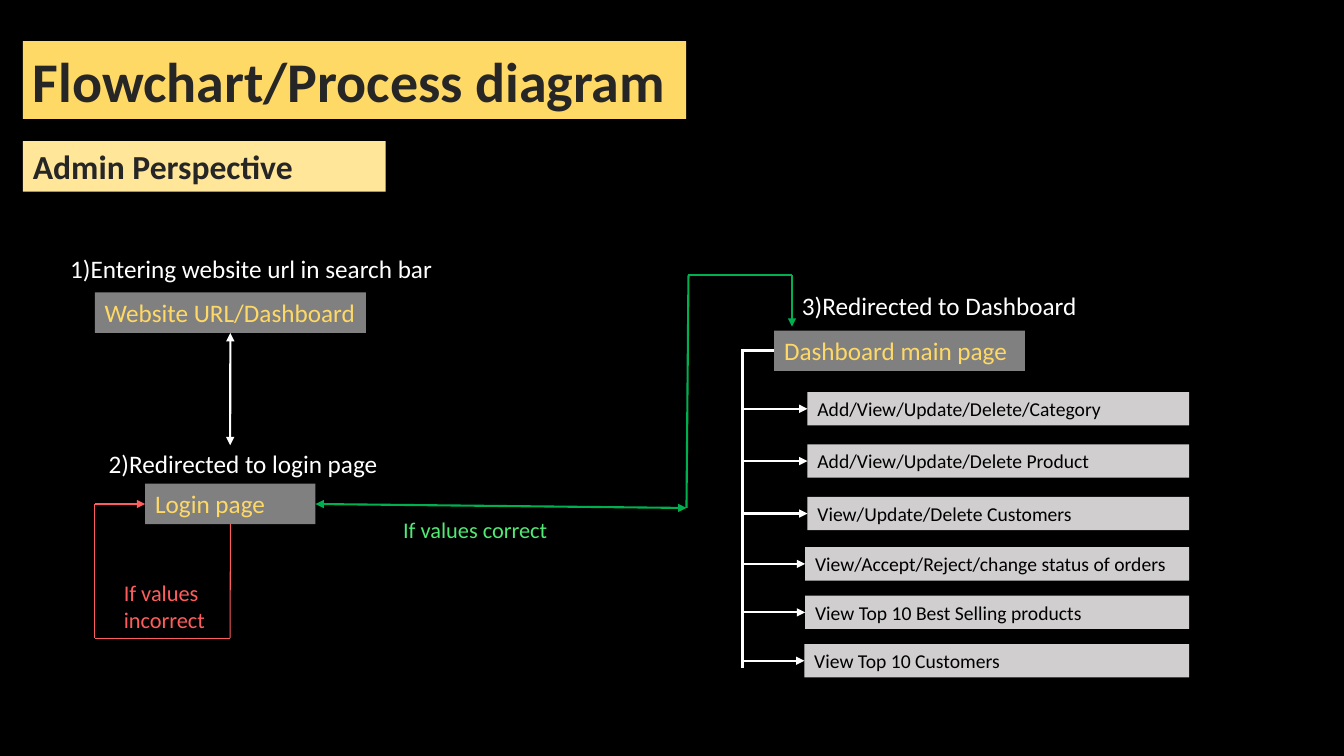
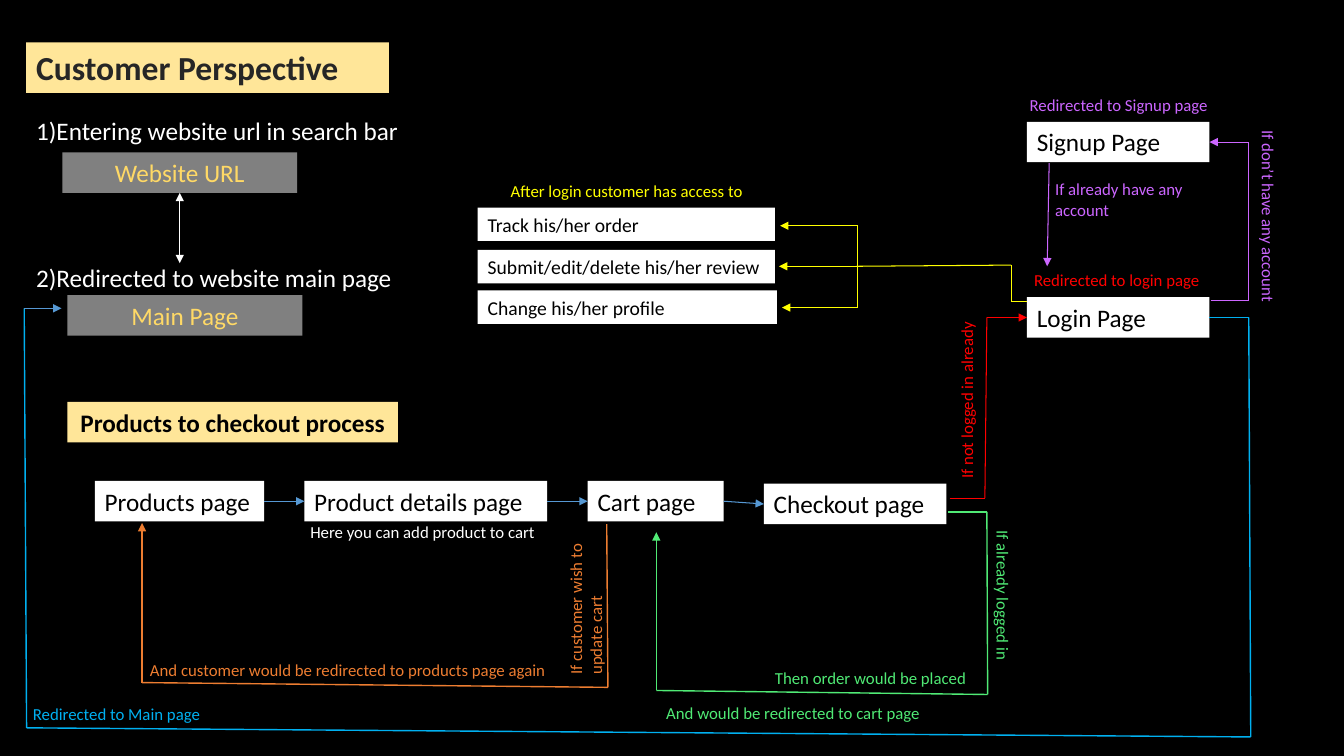
from dataclasses import dataclass
from typing import Optional

import lxml.etree
import pptx
import pptx.dml.color
import pptx.enum.shapes
import pptx.enum.text
import pptx.oxml.ns
import pptx.util

Cm = pptx.util.Cm
LEFT_ALIGN = pptx.enum.text.PP_ALIGN.LEFT
CENTER = pptx.enum.text.PP_ALIGN.CENTER

FONT = "Calibri"
BLACK, WHITE, CHARCOAL = "000000", "FFFFFF", "262626"
GOLD, CREAM, GREY, SILVER = "FFD966", "FFE699", "808080", "D0CECE"
CORAL, RED, EMERALD, MINT = "FF5D5D", "FF0000", "00B050", "50EA75"
STEEL, SKY, YELLOW, PURPLE, ORANGE = "5698D3", "00B0F0", "FFFF00", "CC66FF", "ED7D31"

BOTTOM, LEFT, RIGHT = 2, 1, 3
STEP_HEIGHT, ITEM_HEIGHT, NOTE_HEIGHT = 1.02, 0.84, 0.76

Point = tuple[float, float]
Joint = tuple[str, int]


@dataclass(frozen=True)
class Style:
    size: int
    color: str
    fill: Optional[str] = None
    bold: bool = False
    align: pptx.enum.text.PP_ALIGN = LEFT_ALIGN


@dataclass(frozen=True)
class Box:
    text: str
    left: float
    top: float
    width: float
    height: float
    style: Style
    rotation: int = 0


@dataclass(frozen=True)
class Route:
    """A line through several points; a joint names a box and one of its sides."""
    points: list[Point]
    color: str
    weight: float = 0.75
    head: bool = False
    tail: bool = True
    begin: Optional[Joint] = None
    end: Optional[Joint] = None


TITLE = Style(40, CHARCOAL, GOLD, bold=True)
SUBTITLE = Style(24, CHARCOAL, CREAM, bold=True)
SECTION = Style(18, BLACK, CREAM, bold=True, align=CENTER)
GREY_STEP = Style(18, GOLD, GREY)
GREY_CENTERED = Style(18, GOLD, GREY, align=CENTER)
WHITE_STEP = Style(18, BLACK, WHITE)
SILVER_ITEM = Style(14, BLACK, SILVER)
WHITE_ITEM = Style(14, BLACK, WHITE)
CAPTION = Style(18, WHITE)


def rgb(color: str) -> pptx.dml.color.RGBColor:
    return pptx.dml.color.RGBColor.from_string(color)


def caption(text: str, left: float, top: float) -> Box:
    return Box(text, left, top, 9.78, STEP_HEIGHT, CAPTION)


def note(text: str, left: float, top: float, width: float, color: str,
         height: float = NOTE_HEIGHT, rotation: int = 0) -> Box:
    return Box(text, left, top, width, height, Style(12, color), rotation)


def step(text: str, left: float, top: float, width: float, style: Style) -> Box:
    return Box(text, left, top, width, STEP_HEIGHT, style)


def draw_box(page, box: Box):
    frame = [Cm(length) for length in (box.left, box.top, box.width, box.height)]
    style = box.style
    if style.fill:
        shape = page.shapes.add_shape(pptx.enum.shapes.MSO_SHAPE.RECTANGLE, *frame)
        shape.shadow.inherit = False
        shape.fill.solid()
        shape.fill.fore_color.rgb = rgb(style.fill)
        shape.line.fill.background()
    else:
        shape = page.shapes.add_textbox(*frame)
    shape.rotation = box.rotation
    shape.text_frame.word_wrap = True
    shape.text_frame.vertical_anchor = pptx.enum.text.MSO_ANCHOR.TOP
    para = shape.text_frame.paragraphs[0]
    para.text = box.text
    para.alignment = style.align
    para.font.name = FONT
    para.font.size = pptx.util.Pt(style.size)
    para.font.bold = style.bold
    para.font.color.rgb = rgb(style.color)
    return shape


def draw_segment(page, start: Point, stop: Point, color: str, weight: float,
                 head: bool, tail: bool):
    connector = page.shapes.add_connector(
        pptx.enum.shapes.MSO_CONNECTOR.STRAIGHT,
        *(Cm(length) for length in (*start, *stop)))
    connector.line.color.rgb = rgb(color)
    connector.line.width = pptx.util.Pt(weight)
    qn = pptx.oxml.ns.qn
    properties = connector.element.spPr
    outline = properties.find(qn("a:ln"))
    for tag, wanted in (("a:headEnd", head), ("a:tailEnd", tail)):
        if wanted:
            lxml.etree.SubElement(outline, qn(tag), type="triangle")
    lxml.etree.SubElement(properties, qn("a:effectLst"))
    return connector


def draw_route(page, route: Route, shapes: dict) -> None:
    last = len(route.points) - 2
    for index, (start, stop) in enumerate(zip(route.points, route.points[1:])):
        connector = draw_segment(page, start, stop, route.color, route.weight,
                                 route.head and index == 0, route.tail and index == last)
        if route.begin and index == 0:
            name, side = route.begin
            connector.begin_connect(shapes[name], side)
        if route.end and index == last:
            name, side = route.end
            connector.end_connect(shapes[name], side)


def draw_page(deck, boxes: list[Box], routes: list[Route]) -> None:
    page = deck.slides.add_slide(deck.slide_layouts[6])
    shapes = {box.text: draw_box(page, box) for box in boxes}
    for route in routes:
        draw_route(page, route, shapes)


def add_admin_page(deck) -> None:
    trunk, items_right = 18.72, 29.97
    items = [
        Box(text, left, top, items_right - left, ITEM_HEIGHT, SILVER_ITEM)
        for text, left, top in (
            ("Add/View/Update/Delete/Category", 20.35, 9.88),
            ("Add/View/Update/Delete Product", 20.35, 11.2),
            ("View/Update/Delete Customers", 20.35, 12.52),
            ("View/Accept/Reject/change status of orders", 20.29, 13.79),
            ("View Top 10 Best Selling products", 20.29, 15.01),
            ("View Top 10 Customers", 20.27, 16.23),
        )
    ]
    boxes = [
        Box("Flowchart/Process diagram", 0.58, 1.04, 16.71, 1.96, TITLE),
        Box("Admin Perspective", 0.58, 3.56, 9.14, 1.27, SUBTITLE),
        caption("1)Entering website url in search bar", 1.52, 6.25),
        step("Website URL/Dashboard", 2.39, 7.37, 6.83, GREY_STEP),
        caption("2)Redirected to login page", 2.49, 11.18),
        step("Login page", 3.66, 12.19, 4.29, GREY_STEP),
        caption("3)Redirected to Dashboard", 19.96, 7.19),
        step("Dashboard main page", 19.51, 8.33, 6.32, GREY_STEP),
        Box("If values correct", 9.91, 12.88, 4.95, 0.91, Style(16, MINT)),
        Box("If values incorrect", 2.87, 14.48, 3.25, 1.6, Style(16, CORAL)),
        *items,
    ]
    routes = [
        Route([(5.8, 8.39), (5.8, 11.22)], WHITE, 1.5, head=True,
              begin=("Website URL/Dashboard", BOTTOM)),
        Route([(5.8, 13.21), (5.8, 16.08), (2.39, 16.08), (2.39, 12.7), (3.66, 12.7)], CORAL,
              begin=("Login page", BOTTOM), end=("Login page", LEFT)),
        Route([(7.95, 12.7), (17.3, 12.8)], EMERALD, 1.5, head=True,
              begin=("Login page", RIGHT)),
        Route([(17.3, 12.8), (17.35, 6.94), (19.96, 6.94), (19.96, 8.23)], EMERALD, 1.5),
        Route([(trunk, 8.79), (trunk, 16.84)], WHITE, 2.25, tail=False),
        Route([(trunk, 8.84), (19.51, 8.84)], WHITE, 2.25, tail=False,
              end=("Dashboard main page", LEFT)),
    ]
    for item in items:
        middle = item.top + item.height / 2
        routes.append(Route([(trunk, middle), (item.left, middle)], WHITE, 1.5,
                            end=(item.text, LEFT)))
    draw_page(deck, boxes, routes)


def add_customer_page(deck) -> None:
    checkout_steps = [
        step("Products page", 2.39, 12.12, 4.27, WHITE_STEP),
        step("Product details page", 7.67, 12.12, 6.12, WHITE_STEP),
        step("Cart page", 14.81, 12.12, 3.43, WHITE_STEP),
        step("Checkout page", 19.25, 12.19, 4.6, WHITE_STEP),
    ]
    boxes = [
        Box("Customer Perspective", 0.66, 1.07, 9.14, 1.27, SUBTITLE),
        caption("1)Entering website url in search bar", 0.66, 2.79),
        step("Website URL", 1.57, 3.84, 5.92, GREY_CENTERED),
        caption("2)Redirected to website main page", 0.66, 6.48),
        step("Main Page", 1.7, 7.44, 5.92, GREY_CENTERED),
        step("Products to checkout process", 1.7, 10.13, 8.33, SECTION),
        *checkout_steps,
        step("Signup Page", 25.88, 3.07, 4.6, WHITE_STEP),
        step("Login Page", 25.88, 7.49, 4.6, WHITE_STEP),
        Box("Track his/her order", 12.04, 5.23, 7.49, ITEM_HEIGHT, WHITE_ITEM),
        Box("Submit/edit/delete his/her review", 12.04, 6.3, 7.49, ITEM_HEIGHT, WHITE_ITEM),
        Box("Change his/her profile", 12.04, 7.32, 7.54, ITEM_HEIGHT, WHITE_ITEM),
        note("Here you can add product to cart", 7.57, 13.03, 6.45, WHITE),
        note("If already logged in", 23.29, 14.73, 3.99, MINT, rotation=90),
        note("Then order would be placed", 19.28, 16.71, 5.61, MINT),
        note("And would be redirected to cart page", 16.54, 17.58, 7.42, MINT),
        note("If not logged in already", 22.12, 9.7, 4.47, RED, rotation=270),
        note("Redirected to login page", 25.81, 6.68, 4.95, RED),
        note("Redirected to Main page", 0.58, 17.6, 4.95, SKY),
        note("After login customer has access to", 12.62, 4.42, 6.88, YELLOW),
        note("If don’t have any account", 29.49, 5.13, 4.95, PURPLE, rotation=90),
        note("Redirected to Signup page", 25.7, 2.26, 5.31, PURPLE),
        note("If already have any account", 26.34, 4.39, 5.05, PURPLE, height=1.27),
        note("If customer wish to update cart", 12.29, 14.15, 4.93, ORANGE,
             height=1.27, rotation=270),
        note("And customer would be redirected to products page again",
             3.53, 16.51, 11.02, ORANGE),
    ]
    routes = [
        Route([(4.53, 4.86), (4.53, 6.63)], WHITE, 1, head=True, begin=("Website URL", BOTTOM)),
        Route([(23.9, 12.9), (24.87, 12.9), (24.89, 17.5), (16.54, 17.4), (16.54, 13.41)],
              MINT, 1),
        Route([(23.93, 12.55), (24.82, 12.55), (24.87, 8), (25.88, 8)], RED,
              end=("Login Page", LEFT)),
        Route([(30.48, 8), (31.47, 8), (31.52, 18.57), (0.67, 18.34), (0.61, 7.77)], SKY, 1,
              tail=False, begin=("Login Page", RIGHT)),
        Route([(0.6, 7.77), (1.55, 7.77)], STEEL),
        Route([(25.88, 7.59), (25.48, 7.59), (25.48, 6.68), (21.57, 6.71), (19.63, 6.71)],
              YELLOW),
        Route([(19.66, 5.69), (21.62, 5.69), (21.62, 7.75), (19.71, 7.75)], YELLOW, head=True),
        Route([(30.51, 7.57), (31.47, 7.57), (31.47, 3.58), (30.48, 3.58)], PURPLE,
              end=("Signup Page", RIGHT)),
        Route([(26.44, 4.11), (26.39, 6.71)], PURPLE),
        Route([(15.29, 13.21), (15.32, 17.32), (3.58, 17.2), (3.58, 13.18)], ORANGE, 1),
    ]
    for source, target in zip(checkout_steps, checkout_steps[1:]):
        start = (source.left + source.width, source.top + source.height / 2)
        stop = (target.left, target.top + target.height / 2)
        routes.append(Route([start, stop], STEEL,
                            begin=(source.text, RIGHT), end=(target.text, LEFT)))
    draw_page(deck, boxes, routes)


def main() -> None:
    deck = pptx.Presentation()
    deck.slide_width, deck.slide_height = Cm(33.87), Cm(19.05)
    backdrop = deck.slide_master.background.fill
    backdrop.solid()
    backdrop.fore_color.rgb = rgb(BLACK)
    add_admin_page(deck)
    add_customer_page(deck)
    deck.save("out.pptx")


if __name__ == "__main__":
    main()
